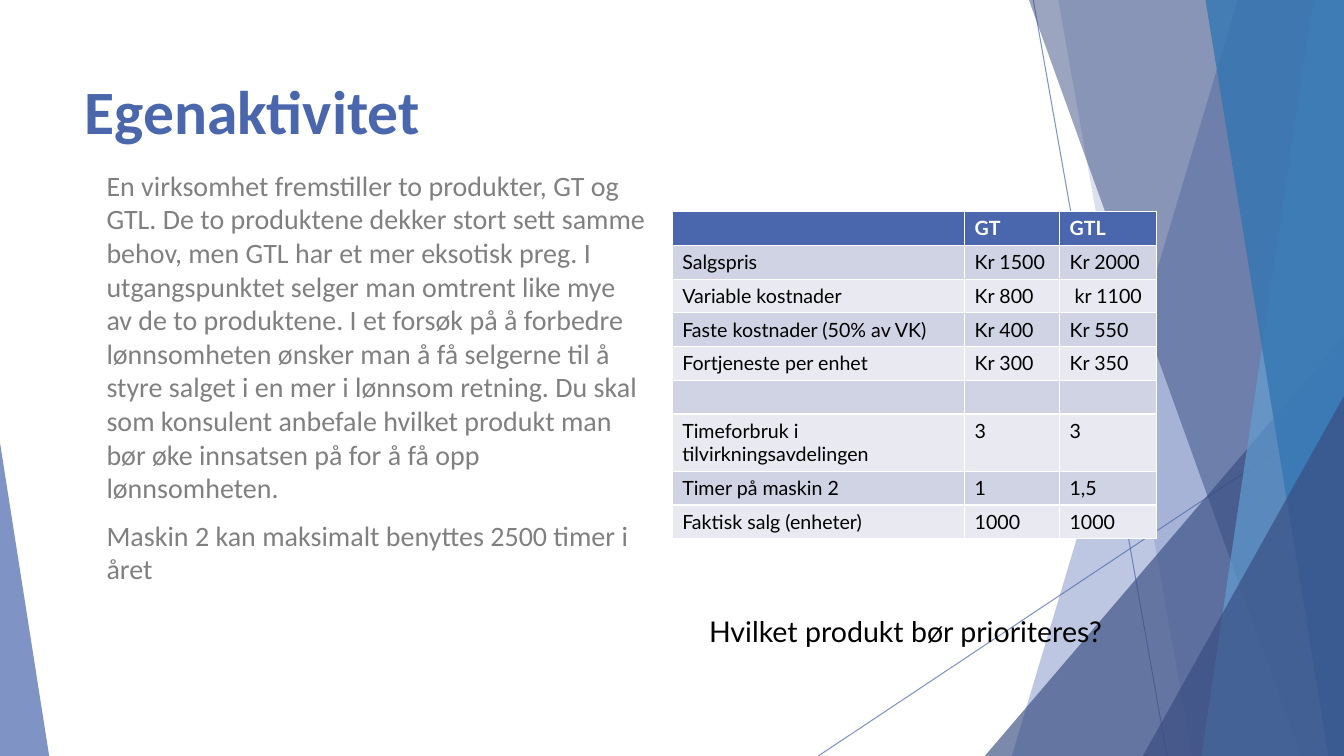
from dataclasses import dataclass

from lxml.etree import SubElement
from pptx import Presentation
from pptx.dml.color import RGBColor
from pptx.enum.shapes import MSO_CONNECTOR, MSO_SHAPE
from pptx.enum.text import MSO_ANCHOR, MSO_AUTO_SIZE, PP_ALIGN
from pptx.oxml.ns import qn
from pptx.shapes.autoshape import Shape
from pptx.shapes.base import BaseShape
from pptx.slide import Slide
from pptx.util import Cm, Pt

WIDTH, HEIGHT = 33.87, 19.05
BLUE, NAVY, SKY, OCEAN = "4A66AC", "384C81", "629DD1", "3477B2"
WHITE, BLACK, GREY = "FFFFFF", "000000", "808080"
STRIPES = ("E9EAF1", "D0D3E3")


@dataclass
class Ray:
    start: tuple[float, float]
    end: tuple[float, float]


@dataclass
class Band:
    top_x: float
    bottom_x: float
    colour: str
    opacity: int


@dataclass
class Wedge:
    left: float
    top: float
    width: float
    apex: float
    colour: str
    opacity: int


@dataclass
class TextStyle:
    font: str
    size: float
    colour: str
    bold: bool = False


DECORATION = [
    Ray((26.04, 0), (29.41, HEIGHT)),
    Ray((WIDTH, 10.24), (20.62, HEIGHT)),
    Band(31.19, 25.5, BLUE, 36),
    Band(26.67, 30.05, BLUE, 20),
    Wedge(24.82, 8.46, 9.05, 1, NAVY, 66),
    Band(25.93, 32.79, NAVY, 50),
    Band(33.1, 30.28, SKY, 70),
    Band(30.38, 33.48, OCEAN, 80),
    Wedge(28.8, 9.98, 5.07, 1, NAVY, 66),
    Wedge(0, 11.15, 1.24, 0, BLUE, 70),
]

BODY = [
    "En virksomhet fremstiller to produkter, GT og GTL. De to produktene dekker "
    "stort sett samme behov, men GTL har et mer eksotisk preg. I utgangspunktet "
    "selger man omtrent like mye av de to produktene. I et forsøk på å forbedre "
    "lønnsomheten ønsker man å få selgerne til å styre salget i en mer i lønnsom "
    "retning. Du skal som konsulent anbefale hvilket produkt man bør øke innsatsen "
    "på for å få opp lønnsomheten.",
    "Maskin 2 kan maksimalt benyttes 2500 timer i året",
]

COLUMN_WIDTHS = (7.37, 2.39, 2.44)
ROW_HEIGHT = 0.84
ROWS = [
    ("", "GT", "GTL"),
    ("Salgspris", "Kr 1500", "Kr 2000"),
    ("Variable kostnader", "Kr 800", " kr 1100"),
    ("Faste kostnader (50% av VK)", "Kr 400", "Kr 550"),
    ("Fortjeneste per enhet", "Kr 300", "Kr 350"),
    ("", "", ""),
    ("Timeforbruk i tilvirkningsavdelingen", "3", "3"),
    ("Timer på maskin 2", "1", "1,5"),
    ("Faktisk salg (enheter)", "1000", "1000"),
]


def rgb(colour: str) -> RGBColor:
    return RGBColor.from_string(colour)


def set_opacity(shape: BaseShape, percent: int) -> None:
    for colour in shape.element.iter(qn("a:srgbClr")):
        SubElement(colour, qn("a:alpha"), val=str(percent * 1000))


def paint(shape: Shape, colour: str, opacity: int) -> None:
    shape.shadow.inherit = False
    shape.line.fill.background()
    shape.fill.solid()
    shape.fill.fore_color.rgb = rgb(colour)
    set_opacity(shape, opacity)


def draw_ray(slide: Slide, ray: Ray) -> None:
    connector = slide.shapes.add_connector(
        MSO_CONNECTOR.STRAIGHT, *map(Cm, ray.start + ray.end)
    )
    connector.line.color.rgb = rgb(BLUE)
    connector.line.width = Pt(0.75)
    set_opacity(connector, 70)
    SubElement(connector.element.spPr, qn("a:effectLst"))


def draw_band(slide: Slide, band: Band) -> None:
    corners = [(WIDTH, 0), (WIDTH, HEIGHT), (band.bottom_x, HEIGHT)]
    builder = slide.shapes.build_freeform(Cm(band.top_x), Cm(0))
    builder.add_line_segments([(Cm(x), Cm(y)) for x, y in corners], close=True)
    paint(builder.convert_to_shape(), band.colour, band.opacity)


def draw_wedge(slide: Slide, wedge: Wedge) -> None:
    shape = slide.shapes.add_shape(
        MSO_SHAPE.ISOSCELES_TRIANGLE,
        Cm(wedge.left), Cm(wedge.top), Cm(wedge.width), Cm(HEIGHT - wedge.top),
    )
    shape.adjustments[0] = wedge.apex
    paint(shape, wedge.colour, wedge.opacity)


def place(shape: BaseShape, left: float, top: float, width: float, height: float) -> None:
    shape.left, shape.top, shape.width, shape.height = map(Cm, (left, top, width, height))


def format_text(text_frame, style: TextStyle) -> None:
    for paragraph in text_frame.paragraphs:
        for run in paragraph.runs:
            run.font.name = style.font
            run.font.size = Pt(style.size)
            run.font.bold = style.bold
            run.font.color.rgb = rgb(style.colour)


def fill_text(shape: Shape, text: str, style: TextStyle, indent: float, before: float) -> None:
    text_frame = shape.text_frame
    text_frame.text = text
    text_frame.word_wrap = True
    text_frame.auto_size = MSO_AUTO_SIZE.NONE
    text_frame.vertical_anchor = MSO_ANCHOR.TOP
    for paragraph in text_frame.paragraphs:
        paragraph.alignment = PP_ALIGN.LEFT
        paragraph.space_before = Pt(before)
        properties = paragraph._p.get_or_add_pPr()
        properties.set("marL", str(Cm(indent)))
        properties.set("indent", "0")
        SubElement(properties, qn("a:buNone"))
    format_text(text_frame, style)


def draw_table(slide: Slide) -> None:
    frame = slide.shapes.add_table(
        len(ROWS), len(COLUMN_WIDTHS), Cm(16.94), Cm(5.33),
        Cm(sum(COLUMN_WIDTHS)), Cm(ROW_HEIGHT * len(ROWS)),
    )
    table = frame.table
    for column, width in zip(table.columns, COLUMN_WIDTHS):
        column.width = Cm(width)
    for row_number, (row, values) in enumerate(zip(table.rows, ROWS)):
        row.height = Cm(ROW_HEIGHT)
        header = row_number == 0
        style = TextStyle("Lato", 14, WHITE if header else BLACK, header)
        for cell, value in zip(row.cells, values):
            cell.text = value
            cell.fill.solid()
            cell.fill.fore_color.rgb = rgb(BLUE if header else STRIPES[row_number % 2])
            format_text(cell.text_frame, style)
            if not value:
                paragraph = cell.text_frame.paragraphs[0]
                SubElement(paragraph._p, qn("a:endParaRPr"), sz="1400")


def main() -> None:
    presentation = Presentation()
    presentation.slide_width, presentation.slide_height = Cm(WIDTH), Cm(HEIGHT)
    slide = presentation.slides.add_slide(presentation.slide_layouts[1])
    title, body = slide.shapes.title, slide.placeholders[1]

    painters = {Ray: draw_ray, Band: draw_band, Wedge: draw_wedge}
    for part in DECORATION:
        painters[type(part)](slide, part)
    for placeholder in (title, body):
        placeholder.element.getparent().append(placeholder.element)

    place(title, 1.88, 1.7, 23.88, 3.66)
    fill_text(title, "Egenaktivitet", TextStyle("Calibri", 44, BLUE, True), 0, 0)
    place(body, 2.13, 4.11, 14.43, 13.87)
    fill_text(body, "\n".join(BODY), TextStyle("Calibri", 20, GREY), 0.3, 10)
    draw_table(slide)
    question = slide.shapes.add_textbox(Cm(17.32), Cm(15.34), Cm(11.43), Cm(1.63))
    fill_text(question, "Hvilket produkt bør prioriteres?", TextStyle("Lato", 20.4, BLACK), 0.3, 4)
    presentation.save("out.pptx")


if __name__ == "__main__":
    main()
